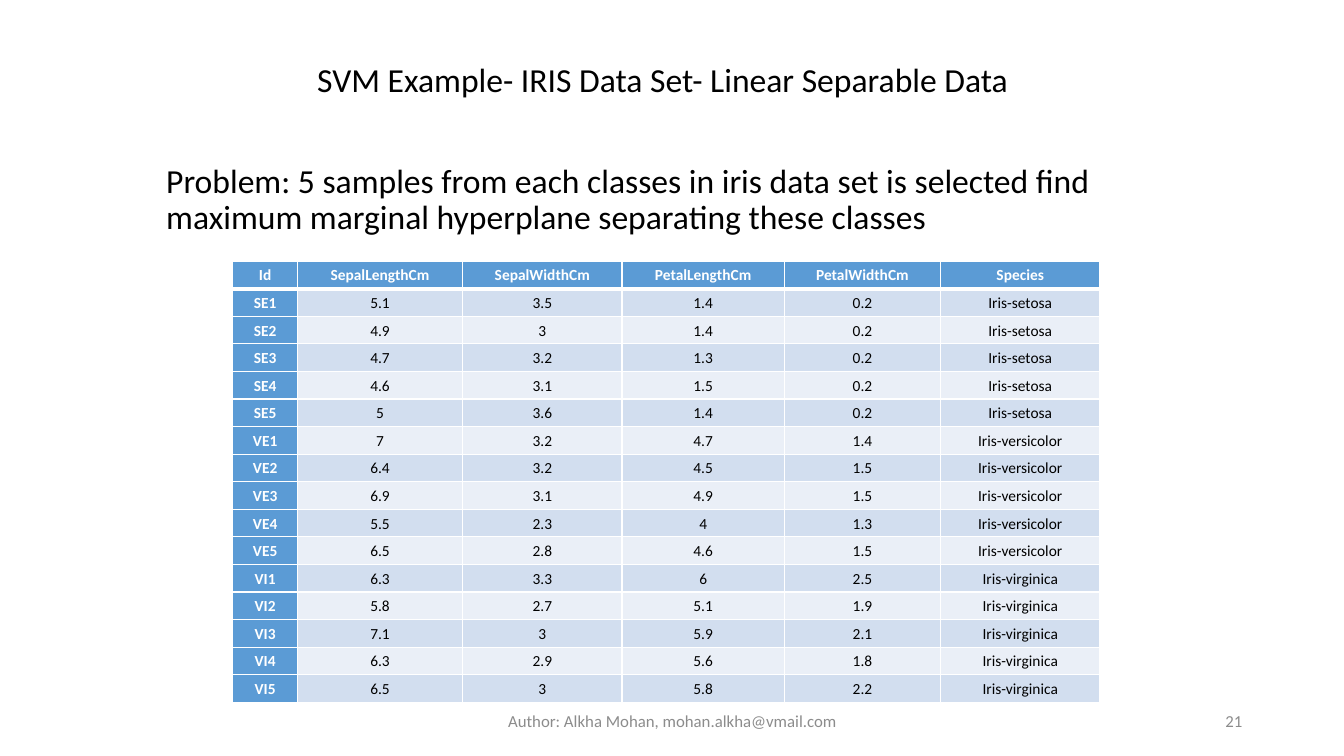
import pptx
import pptx.dml.color
import pptx.enum.text
import pptx.oxml.ns
import pptx.util
from lxml import etree

Inches, Pt = pptx.util.Inches, pptx.util.Pt
RGBColor = pptx.dml.color.RGBColor
ALIGN, ANCHOR = pptx.enum.text.PP_ALIGN, pptx.enum.text.MSO_ANCHOR

TITLE = "SVM Example- IRIS Data Set- Linear Separable Data "
PROBLEM = ("Problem: 5 samples from each classes in iris data set is selected find "
           "maximum marginal hyperplane separating these classes")
AUTHOR = "Author: Alkha Mohan, mohan.alkha@vmail.com"
PAGE_NUMBER = "21"

HEADINGS = ("Id", "SepalLengthCm", "SepalWidthCm", "PetalLengthCm", "PetalWidthCm", "Species")
COLUMN_WIDTHS = (0.64, 1.64, 1.58, 1.61, 1.55, 1.58)
SAMPLES = {
    ("SE", "Iris-setosa"): [
        ("5.1", "3.5", "1.4", "0.2"),
        ("4.9", "3", "1.4", "0.2"),
        ("4.7", "3.2", "1.3", "0.2"),
        ("4.6", "3.1", "1.5", "0.2"),
        ("5", "3.6", "1.4", "0.2"),
    ],
    ("VE", "Iris-versicolor"): [
        ("7", "3.2", "4.7", "1.4"),
        ("6.4", "3.2", "4.5", "1.5"),
        ("6.9", "3.1", "4.9", "1.5"),
        ("5.5", "2.3", "4", "1.3"),
        ("6.5", "2.8", "4.6", "1.5"),
    ],
    ("VI", "Iris-virginica"): [
        ("6.3", "3.3", "6", "2.5"),
        ("5.8", "2.7", "5.1", "1.9"),
        ("7.1", "3", "5.9", "2.1"),
        ("6.3", "2.9", "5.6", "1.8"),
        ("6.5", "3", "5.8", "2.2"),
    ],
}

FONT = "Calibri"
BLACK = RGBColor(0x00, 0x00, 0x00)
WHITE = RGBColor(0xFF, 0xFF, 0xFF)
GREY = RGBColor(0x8C, 0x8C, 0x8C)
BLUE = RGBColor(0x5B, 0x9B, 0xD5)
BANDS = (RGBColor(0xEA, 0xEF, 0xF7), RGBColor(0xD2, 0xDE, 0xEF))


def write(para, text, size, color, align, bold=False):
    para.alignment = align
    span = para.add_run()
    span.text = text
    span.font.name = FONT
    span.font.size = Pt(size)
    span.font.bold = bold
    span.font.color.rgb = color


def add_box(page, left, top, width, height, anchor):
    box = page.shapes.add_textbox(Inches(left), Inches(top), Inches(width), Inches(height))
    box.text_frame.word_wrap = True
    box.text_frame.vertical_anchor = anchor
    return box.text_frame


def set_borders(cell, color, widths):
    """Draw the left, right, top and bottom edges with the given point widths."""
    properties = cell._tc.get_or_add_tcPr()
    for side, width in zip("LRTB", widths):
        line = etree.SubElement(properties, pptx.oxml.ns.qn(f"a:ln{side}"), w=str(Pt(width)))
        fill = etree.SubElement(line, pptx.oxml.ns.qn("a:solidFill"))
        etree.SubElement(fill, pptx.oxml.ns.qn("a:srgbClr"), val=str(color))


def add_intro(page):
    frame = add_box(page, 1.55, 0.58, 10.12, 5.55, ANCHOR.TOP)
    title = frame.paragraphs[0]
    problem = frame.add_paragraph()
    write(title, TITLE, 24, BLACK, ALIGN.CENTER)
    write(problem, PROBLEM, 24, BLACK, ALIGN.LEFT)
    for para, gap in ((title, 10), (problem, 46.4)):
        para.line_spacing = 0.9
        para.space_before = Pt(gap)


def add_samples(page):
    rows = [HEADINGS]
    for (prefix, species), measures in SAMPLES.items():
        rows += [(f"{prefix}{number}", *values, species)
                 for number, values in enumerate(measures, 1)]

    height = Inches(4.38)
    table = page.shapes.add_table(len(rows), len(HEADINGS), Inches(2.31), Inches(2.59),
                                  Inches(sum(COLUMN_WIDTHS)), height).table
    table.first_col = True
    for column, width in zip(table.columns, COLUMN_WIDTHS):
        column.width = Inches(width)
    for r, values in enumerate(rows):
        table.rows[r].height = height // len(rows)
        for c, value in enumerate(values):
            cell = table.cell(r, c)
            is_heading = r == 0 or c == 0
            set_borders(cell, WHITE, (1, 1, 3 if r == 1 else 1, 3 if r == 0 else 1))
            cell.fill.solid()
            cell.fill.fore_color.rgb = BLUE if is_heading else BANDS[r % 2]
            cell.margin_left = cell.margin_right = Inches(0.07)
            cell.margin_top = cell.margin_bottom = 0
            cell.vertical_anchor = ANCHOR.MIDDLE
            para = cell.text_frame.paragraphs[0]
            para.line_spacing = 1.07
            write(para, value, 11, WHITE if is_heading else BLACK, ALIGN.CENTER, is_heading)


def add_footer(page):
    for text, left, width, align in ((PAGE_NUMBER, 9.42, 3, ALIGN.RIGHT),
                                     (AUTHOR, 4.42, 4.5, ALIGN.CENTER)):
        frame = add_box(page, left, 6.95, width, 0.4, ANCHOR.MIDDLE)
        write(frame.paragraphs[0], text, 12, GREY, align)


def main():
    deck = pptx.Presentation()
    deck.slide_width, deck.slide_height = Inches(13.33), Inches(7.5)
    page = deck.slides.add_slide(deck.slide_layouts[6])
    add_intro(page)
    add_samples(page)
    add_footer(page)
    deck.save("out.pptx")


if __name__ == "__main__":
    main()
